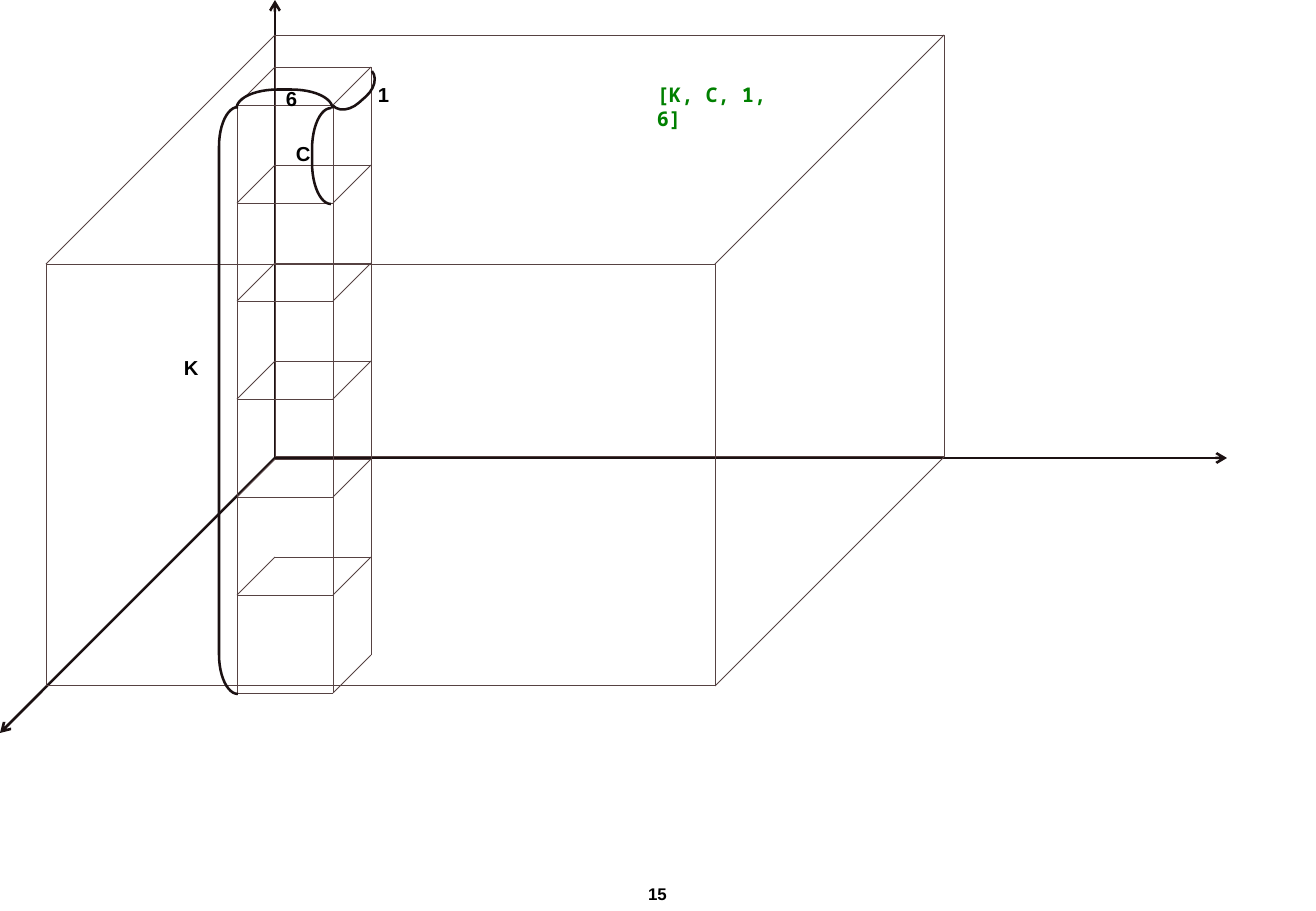
import pptx
import pptx.util
import pptx.dml.color
import pptx.enum.shapes
import pptx.enum.text
import pptx.oxml
import pptx.oxml.ns
import lxml.etree
from dataclasses import dataclass

EMU_PER_PX = 914400 / 121.5
SHAPE = pptx.enum.shapes.MSO_SHAPE
ALIGN = pptx.enum.text.PP_ALIGN


@dataclass
class Theme:
    axis: str = "1B1112"
    edge: str = "564242"
    text: str = "000000"
    shape_label: str = "008000"
    axis_width: float = 1.5
    edge_width: float = 0.5
    label_size: int = 12
    number_size: int = 10
    font: str = "Arial"
    mono: str = "Noto Sans Mono"


def px(n):
    return pptx.util.Emu(round(n * EMU_PER_PX))


def rgb(code):
    return pptx.dml.color.RGBColor.from_string(code)


class Sketch:
    def __init__(self, slide, theme):
        self.s, self.t = slide, theme

    def stroke(self, sp, heavy):
        sp.line.color.rgb = rgb(self.t.axis if heavy else self.t.edge)
        sp.line.width = pptx.util.Pt(self.t.axis_width if heavy else self.t.edge_width)

    def line(self, start, end, heavy=False):
        sp = self.s.shapes.add_connector(pptx.enum.shapes.MSO_CONNECTOR.STRAIGHT,
                                         *map(px, start + end))
        self.stroke(sp, heavy)
        lxml.etree.SubElement(sp._element.spPr, pptx.oxml.ns.qn("a:effectLst"))
        return sp

    def arrow(self, start, end):
        sp = self.line(start, end, heavy=True)
        head = lxml.etree.SubElement(sp.line._get_or_add_ln(), pptx.oxml.ns.qn("a:tailEnd"))
        head.set("type", "arrow")

    def outline(self, kind, x, y, w, h, heavy=False):
        sp = self.s.shapes.add_shape(kind, *map(px, (x, y, w, h)))
        sp.shadow.inherit = False
        sp.fill.background()
        self.stroke(sp, heavy)
        return sp

    def bracket(self, x, y, w, h, rotation, curve):
        sp = self.outline(SHAPE.RIGHT_BRACKET, x, y, w, h, heavy=True)
        sp.rotation = rotation
        sp.adjustments[0] = curve

    def label(self, text, x, y, w, h=36, size=None, font=None, color=None, align=ALIGN.LEFT):
        tf = self.s.shapes.add_textbox(*map(px, (x, y, w, h))).text_frame
        tf.word_wrap = True
        tf.text = text
        p = tf.paragraphs[0]
        p.alignment = align
        r = p.runs[0]
        r.font.size = pptx.util.Pt(size or self.t.label_size)
        r.font.name = font or self.t.font
        r.font.bold = True
        r.font.color.rgb = rgb(color or self.t.text)

    def cube_column(self, x, y, w, h, depth, count):
        """Stacked cubes sharing faces, the first front top left at x, y."""
        right, back, back_right = x + w, x + depth, x + w + depth
        for level in range(count + 1):
            top = y + level * h
            back_top = top - depth
            self.line((x, top), (right, top))
            self.line((back_right, back_top), (right, top))
            if level == count:
                break
            self.line((back, back_top), (back_right, back_top))
            self.line((back, back_top), (x, top))
            for side, start in [(x, top), (right, top), (back_right, back_top)]:
                self.line((side, start), (side, start + h))


prs = pptx.Presentation()
prs.slide_width, prs.slide_height = px(1316), px(911)
theme = Theme()
sketch = Sketch(prs.slides.add_slide(prs.slide_layouts[6]), theme)

# Axes
origin = (275, 458)
for tip in [(1227, 458), (275, 0), (0, 733)]:
    sketch.arrow(origin, tip)

# Large volume: back face, front face and the edges joining them
left, top, width, height, depth = 275, 35, 669, 422, 229
for shift in (0, depth):
    sketch.outline(SHAPE.RECTANGLE, left - shift, top + shift, width, height)
for x, y in [(left, top), (left + width, top), (left + width, top + height)]:
    sketch.line((x, y), (x - depth, y + depth))

# Column of cubes
sketch.cube_column(237, 105, 96, 98, 38, count=6)

# Dimension brackets
sketch.bracket(350, 68, 15, 52, 48.3, 1.42)
sketch.bracket(275, 51, 19, 96, 270, 2.17)
sketch.bracket(219, 107, 19, 587, 180, 2.09)
sketch.bracket(312, 108, 19, 96, 180, 2.17)

# Labels
for text, x, y, w in [("K", 172, 349, 47), ("6", 274, 80, 36),
                      ("1", 366, 76, 36), ("C", 284, 135, 47)]:
    sketch.label(text, x, y, w)
sketch.label("[K, C, 1, 6]", 645, 76, 160, font=theme.mono, color=theme.shape_label)
sketch.label("15", 504, 878, 307, 28, size=theme.number_size, align=ALIGN.CENTER)

prs.save("out.pptx")
